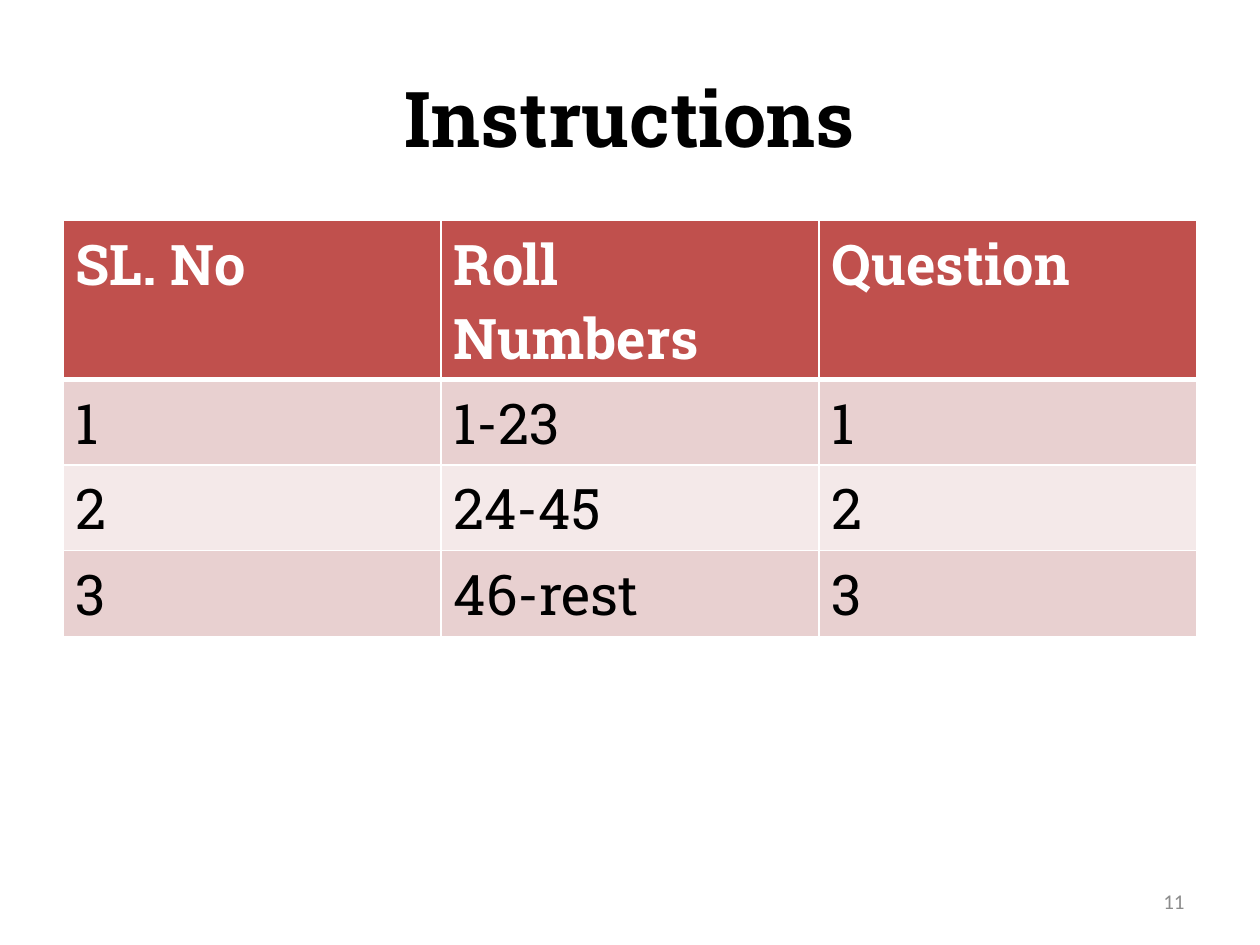
from lxml import etree
from pptx import Presentation
from pptx import util as u
from pptx.dml.color import RGBColor
from pptx.enum import text
from pptx.oxml import ns


def style(paragraph, name, size, color, bold=False):
    font = paragraph.font
    font.name, font.size, font.bold = name, u.Pt(size), bold
    font.color.rgb = RGBColor.from_string(color)


def add_label(page, words, place, align):
    box = page.shapes.add_textbox(*[u.Inches(length) for length in place])
    frame = box.text_frame
    frame.word_wrap = True
    frame.vertical_anchor = text.MSO_ANCHOR.MIDDLE
    para = frame.paragraphs[0]
    para.text, para.alignment = words, align
    return para


deck = Presentation()
deck.slide_width, deck.slide_height = u.Inches(10), u.Inches(7.5)
page = deck.slides.add_slide(deck.slide_layouts[6])

# Title
title = add_label(page, "Instructions", (0.5, 0.3, 9, 1.25), text.PP_ALIGN.CENTER)
style(title, "Roboto Slab", 44, "000000", True)

# Table of roll numbers and questions
rows = [
    ("SL. No", "Roll Numbers", "Question"),
    ("1", "1-23", "1"),
    ("2", "24-45", "2"),
    ("3", "46-rest", "3"),
]
fills = ["C0504D", "E8D0D0", "F4E9E9", "E8D0D0"]
heights = [1.26, 0.68, 0.68, 0.68]
table = page.shapes.add_table(
    len(rows), 3, u.Inches(0.5), u.Inches(1.75), u.Inches(9), u.Inches(sum(heights))
).table

for r, (values, fill, height) in enumerate(zip(rows, fills, heights)):
    table.rows[r].height = u.Inches(height)
    header = r == 0
    for c, value in enumerate(values):
        cell = table.cell(r, c)
        cell.text = value
        style(cell.text_frame.paragraphs[0], "Roboto Slab", 32,
              "FFFFFF" if header else "000000", header)

        # White borders, heavier around the header's lower edge
        properties = cell._tc.get_or_add_tcPr()
        for side in ("lnL", "lnR", "lnT", "lnB"):
            heavy = (header and side == "lnB") or (r == 1 and side == "lnT")
            line = etree.SubElement(properties, ns.qn("a:" + side),
                                    w=str(u.Pt(3 if heavy else 1)))
            solid = etree.SubElement(line, ns.qn("a:solidFill"))
            etree.SubElement(solid, ns.qn("a:srgbClr"), val="FFFFFF")
        cell.fill.solid()
        cell.fill.fore_color.rgb = RGBColor.from_string(fill)

# Page number
number = add_label(page, "11", (7.17, 6.95, 2.33, 0.4), text.PP_ALIGN.RIGHT)
style(number, "Calibri", 12, "8C8C8C")

deck.save("out.pptx")
